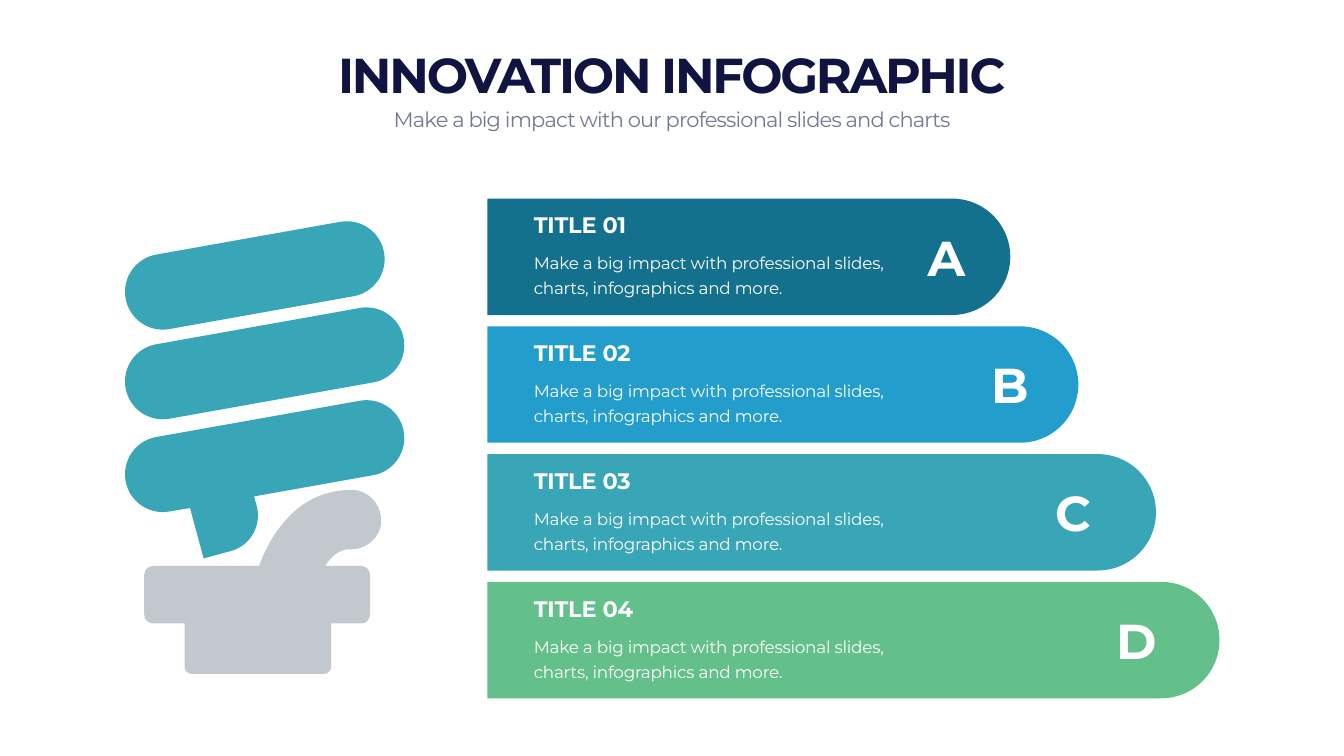
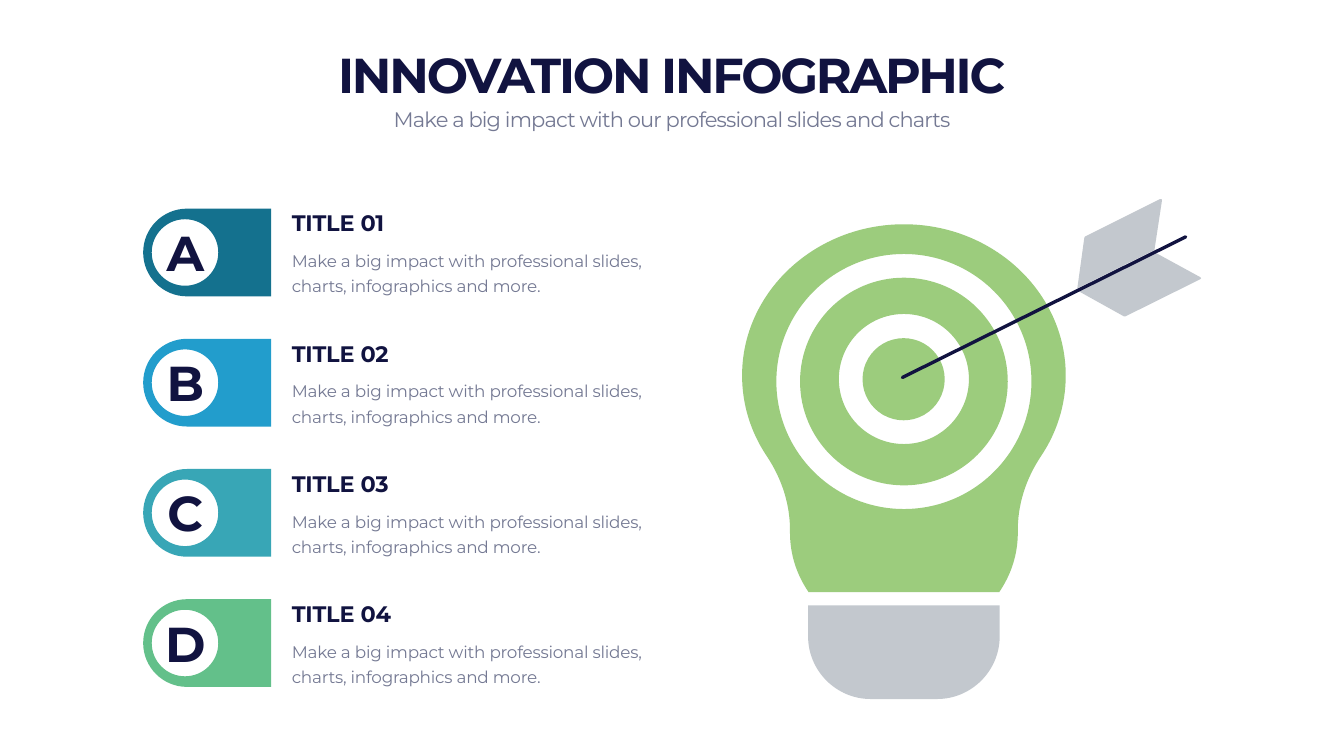
from math import ceil, cos, radians, sin, tan

from pptx import Presentation
from pptx.dml.color import RGBColor
from pptx.enum import shapes, text
from pptx.oxml.ns import qn
from pptx.util import Inches, Pt
from lxml import etree

WIDTH, HEIGHT = 26.66, 15
FONT = "Montserrat"
COLORS = {
    "navy": "111340", "slate": "747993", "white": "FFFFFF", "silver": "C3C8CE",
    "petrol": "14718E", "blue": "229DCC", "teal": "38A6B6", "green": "63C08A",
    "lime": "9CCC7D",
}
STEPS = list(zip("ABCD", ("petrol", "blue", "teal", "green")))
BODY = "Make a big impact with professional slides, charts, infographics and more."
CENTER, BOTTOM, TOP = text.PP_ALIGN.CENTER, text.MSO_ANCHOR.BOTTOM, text.MSO_ANCHOR.TOP


def rgb(name):
    return RGBColor.from_string(COLORS[name])


# ---------- text ----------
def write(shape, words, size=24, color="navy", bold=False, align=text.PP_ALIGN.LEFT,
          anchor=TOP, spacing=-0.3, leading=None):
    frame = shape.text_frame
    frame.word_wrap = True
    frame.auto_size = text.MSO_AUTO_SIZE.SHAPE_TO_FIT_TEXT
    frame.vertical_anchor = anchor
    paragraph = frame.paragraphs[0]
    paragraph.alignment = align
    if leading:
        paragraph.line_spacing = Pt(leading)
    run = paragraph.add_run()
    run.text = words
    run.font.name, run.font.size, run.font.bold = FONT, Pt(size), bold
    run.font.color.rgb = rgb(color)
    run._r.get_or_add_rPr().set("spc", str(round(spacing * 100)))


def place(shape, left, top, width, height):
    shape.left, shape.top = Inches(left), Inches(top)
    shape.width, shape.height = Inches(width), Inches(height)


def add_text(slide, box, words, **style):
    write(slide.shapes.add_textbox(*map(Inches, box)), words, **style)


def add_letter(slide, left, top, width, letter, color):
    add_text(slide, (left, top, width, 1.28), letter, size=70, color=color,
             bold=True, align=CENTER, anchor=BOTTOM)


def add_caption(slide, left, top, number, title_color, body_color):
    add_text(slide, (left, top, 7.5, 0.64), f"TITLE {number:02}", size=32,
             color=title_color, bold=True, anchor=BOTTOM)
    add_text(slide, (left, top + 0.73, 7.5, 1.07), BODY, color=body_color, leading=36)


def add_slide(presentation):
    slide = presentation.slides.add_slide(presentation.slide_layouts[5])
    left, width = WIDTH / 16, WIDTH * 7 / 8
    place(slide.shapes.title, left, 0.82, width, 1.28)
    write(slide.shapes.title, "INNOVATION INFOGRAPHIC", size=70, bold=True,
          align=CENTER, anchor=BOTTOM, spacing=-3.1)
    add_text(slide, (left, 2.06, width, 0.61),
             "Make a big impact with our professional slides and charts",
             size=30, color="slate", align=CENTER, spacing=-1.2)
    return slide


# ---------- outlines: two numbers are a corner, six a Bezier curve ----------
def arc(x, y, radius, start, end):
    """Parts of an arc; degrees run clockwise from the right."""
    count = ceil((end - start) / 90)
    step = radians(end - start) / count
    reach = radius * 4 / 3 * tan(step / 4)
    parts = [(x + radius * cos(radians(start)), y + radius * sin(radians(start)))]
    for i in range(count):
        a = radians(start) + i * step
        b = a + step
        x1, y1 = x + radius * cos(a), y + radius * sin(a)
        x2, y2 = x + radius * cos(b), y + radius * sin(b)
        parts.append((x1 - reach * sin(a), y1 + reach * cos(a),
                      x2 + reach * sin(b), y2 - reach * cos(b), x2, y2))
    return parts


def circle(x, y, radius):
    return arc(x, y, radius, 0, 360)


def mirror(parts, axis):
    """Close a right half with its reflection."""
    def flip(x, y):
        return 2 * axis - x, y

    reflected = [flip(*parts[-1][-2:])]
    for before, part in zip(parts[-2::-1], parts[:0:-1]):
        end = flip(*before[-2:])
        if len(part) == 6:
            end = flip(*part[2:4]) + flip(*part[:2]) + end
        reflected.append(end)
    return parts + reflected


def paint(shape, color):
    shape.shadow.inherit = False
    shape.fill.solid()
    shape.fill.fore_color.rgb = rgb(color)
    shape.line.fill.background()


def add_outline(parent, color, *contours):
    builder = None
    for parts in contours:
        points = [(Inches(part[i]), Inches(part[i + 1]))
                  for part in parts for i in range(0, len(part), 2)]
        if builder:
            builder.move_to(*points[0])
        else:
            builder = parent.shapes.build_freeform(*points[0], scale=1.0)
        builder.add_line_segments(points[1:], close=True)
    shape = builder.convert_to_shape()
    # Join each curve's three points into one Bezier segment
    lines = iter(list(shape._element.iter(qn("a:lnTo"))))
    for part in (part for parts in contours for part in parts[1:]):
        group = [next(lines) for _ in range(len(part) // 2)]
        if len(group) == 3:
            curve = etree.Element(qn("a:cubicBezTo"))
            group[0].addprevious(curve)
            for line in group:
                curve.append(line[0])
                line.getparent().remove(line)
    paint(shape, color)


# ---------- slide 1 ----------
def add_spiral_lamp(slide):
    lamp = slide.shapes.add_group_shape()
    tail = [(5.04, 9.85), (5.09, 10.03), (5.2, 10.42, 4.97, 10.82, 4.59, 10.93),
            (4.04, 11.08), (3.77, 10.08)]
    coils = [(5.79, 6.88, 5.14, []), (7.57, 7.27, 6.85, []), (9.41, 7.27, 8.69, tail)]
    for left_y, right_x, right_y, extra in coils:
        add_outline(lamp, "teal", arc(right_x, right_y, 0.75, -100, 80) + extra
                    + arc(3.23, left_y, 0.75, 80, 260))
    # Socket with its hook
    add_outline(lamp, "silver", [
        (6.97, 9.72), (6.67, 9.72, 6.37, 9.79, 6.11, 9.95),
        (5.86, 10.09, 5.67, 10.3, 5.5, 10.53), (5.35, 10.74, 5.23, 10.98, 5.14, 11.23),
        (3.04, 11.23), (2.94, 11.23, 2.86, 11.31, 2.86, 11.41),
        (2.86, 12.19), (2.86, 12.29, 2.94, 12.37, 3.04, 12.37),
        (3.66, 12.37), (3.66, 13.23), (3.66, 13.3, 3.72, 13.37, 3.8, 13.37),
        (6.43, 13.37), (6.51, 13.37, 6.57, 13.3, 6.57, 13.23), (6.57, 12.37),
        (7.17, 12.37), (7.26, 12.37, 7.34, 12.29, 7.34, 12.19),
        (7.34, 11.41), (7.34, 11.31, 7.26, 11.23, 7.17, 11.23), (6.45, 11.23),
        (6.5, 11.15), (6.55, 11.1, 6.59, 11.05, 6.65, 11),
        (6.72, 10.95, 6.8, 10.91, 6.88, 10.9), (6.97, 10.9),
        (7.28, 10.9, 7.58, 10.63, 7.56, 10.31), (7.55, 9.99, 7.3, 9.72, 6.97, 9.72)])


def add_banner(slide, left, top, length, height, color):
    """A bar with a round right end: a tall shape turned by 90 degrees."""
    shape = slide.shapes.add_shape(shapes.MSO_SHAPE.ROUND_2_SAME_RECTANGLE, 0, 0, 1, 1)
    place(shape, left + (length - height) / 2, top - (length - height) / 2, height, length)
    shape.rotation = 90
    shape.adjustments[0], shape.adjustments[1] = 0.5, 0
    paint(shape, color)


def build_banner_slide(presentation):
    slide = add_slide(presentation)
    add_spiral_lamp(slide)
    lengths = (10.37, 11.72, 13.26, 14.52)
    for row, ((letter, color), length) in enumerate(zip(STEPS, lengths)):
        top = 3.94 + row * 2.535
        add_banner(slide, 9.67, top, length, 2.31, color)
        add_letter(slide, 18.16 + row * 1.255, top + 0.5, 1.23, letter, "white")
        add_caption(slide, 10.49, top + 0.2, row + 1, "white", "white")


# ---------- slide 2 ----------
def add_badge(slide, left, top, letter, color):
    radius = 0.87
    middle = top + radius
    body = arc(left + radius, middle, radius, 90, 270)
    body += [(left + 2.54, top), (left + 2.54, top + 2 * radius)]
    add_outline(slide, color, body, circle(left + 0.83, middle, 0.66))
    add_letter(slide, left - 0.02, top + 0.21, 1.71, letter, "navy")


def add_target_bulb(slide):
    axis = 17.93
    add_outline(slide, "lime", circle(axis, 7.57, 2.06), circle(axis, 7.52, 1.29))
    glass = [(axis, 4.45), (19.7, 4.45, 21.14, 5.8, 21.14, 7.45),
             (21.14, 8.04, 20.96, 8.59, 20.65, 9.05),
             (20.35, 9.5, 20.18, 10.02, 20.19, 10.56),
             (20.19, 11.02, 20.05, 11.41, 19.82, 11.75)]
    add_outline(slide, "lime", mirror(glass, axis), circle(axis, 7.57, 2.53))
    bullseye = slide.shapes.add_shape(shapes.MSO_SHAPE.OVAL, 0, 0, 1, 1)
    place(bullseye, 17.11, 6.71, 1.63, 1.63)
    paint(bullseye, "lime")
    cap = [(axis, 12.01), (19.83, 12.01), (19.83, 12.63),
           (19.83, 13.31, 19.27, 13.87, 18.59, 13.87)]
    add_outline(slide, "silver", mirror(cap, axis))


def add_arrow(slide):
    # Feathers
    add_outline(slide, "silver", [
        (22.9, 4.96), (23.05, 3.97), (23.05, 3.95, 23.03, 3.94, 23.01, 3.95),
        (21.53, 4.69), (21.51, 4.71), (21.37, 5.72)])
    add_outline(slide, "silver", [
        (23.81, 5.5), (22.93, 5.02), (21.4, 5.78), (22.3, 6.28), (22.32, 6.28),
        (23.81, 5.54), (23.83, 5.53, 23.83, 5.51, 23.81, 5.5)])
    # Shaft
    shaft = slide.shapes.add_connector(
        shapes.MSO_CONNECTOR.STRAIGHT, *map(Inches, (17.9, 7.49, 23.52, 4.7)))
    shaft.line.width = Pt(4.8)
    shaft.line.color.rgb = rgb("navy")
    shaft.line._get_or_add_ln().set("cap", "rnd")
    etree.SubElement(shaft._element.spPr, qn("a:effectLst"))


def build_target_slide(presentation):
    slide = add_slide(presentation)
    for row, (letter, color) in enumerate(STEPS):
        top = 4.14 + row * 2.583
        add_badge(slide, 2.84, top, letter, color)
        add_caption(slide, 5.69, top - 0.04, row + 1, "navy", "slate")
    add_target_bulb(slide)
    add_arrow(slide)


def main():
    presentation = Presentation()
    presentation.slide_width, presentation.slide_height = Inches(WIDTH), Inches(HEIGHT)
    build_banner_slide(presentation)
    build_target_slide(presentation)
    presentation.save("out.pptx")


main()
